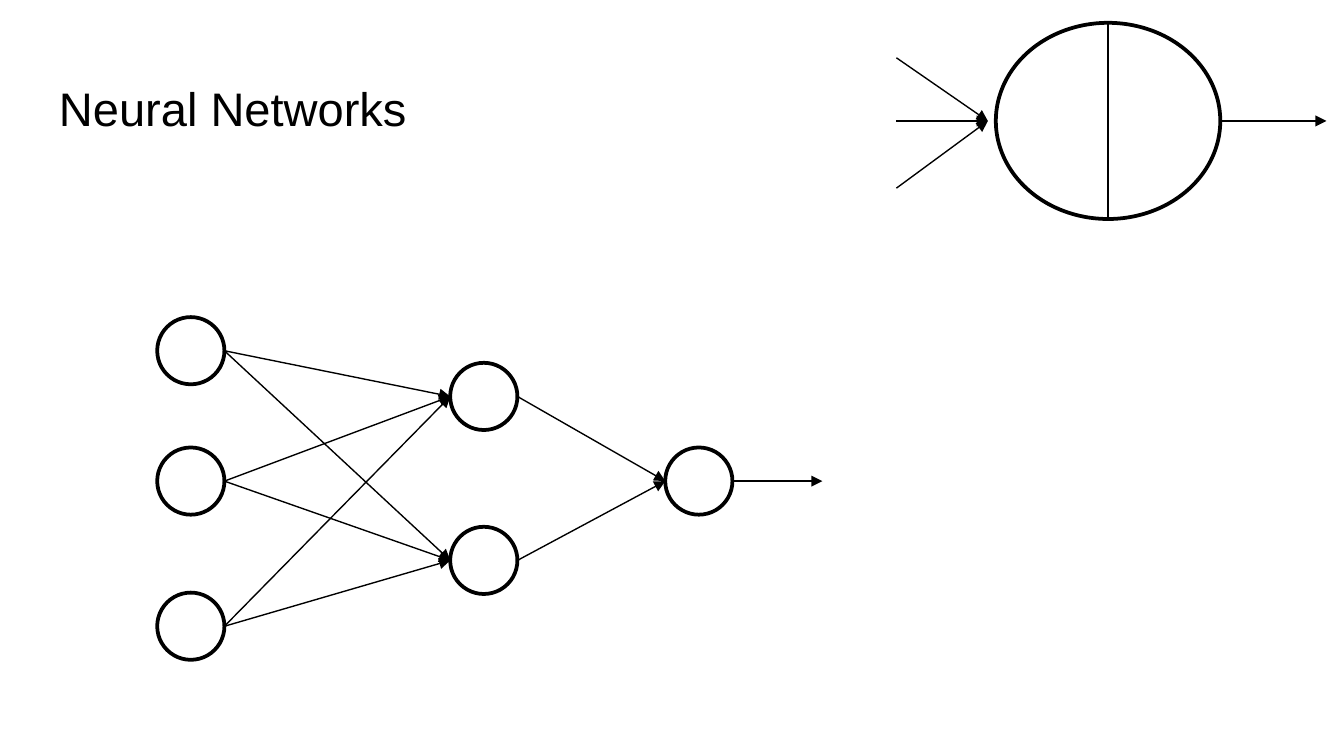
from itertools import pairwise, product

from lxml import etree
from pptx import Presentation
from pptx import util as u
from pptx.dml.color import RGBColor
from pptx.enum import shapes, text
from pptx.oxml.ns import qn

BLACK = RGBColor(0, 0, 0)
WHITE = RGBColor(255, 255, 255)

WIDTH = 10
HEIGHT = WIDTH * 9 / 16
TITLE = "Neural Networks"
TITLE_BOX = (0.34, 0.49, 9.32, 0.63)

# Each layer: left edge of its nodes, then the node centres from top to bottom
NODE = 0.5
LAYERS = [
    (1.17, (2.61, 3.58, 4.66)),
    (3.35, (2.95, 4.17)),
    (4.95, (3.58,)),
]
OUTPUT_END = 6.12

# Enlarged single neuron
NEURON = (7.41, 0.17, 1.67, 1.46)
INPUT_START, INPUT_END = 6.67, 7.35
INPUT_HEIGHTS = (0.9, 1.4, 0.43)
NEURON_OUTPUT_END = 9.87


def add_node(slide, left, top, width, height):
    node = slide.shapes.add_shape(
        shapes.MSO_SHAPE.FLOWCHART_CONNECTOR,
        *map(u.Inches, (left, top, width, height)))
    node.shadow.inherit = False
    node.fill.solid()
    node.fill.fore_color.rgb = WHITE
    node.line.color.rgb = BLACK
    node.line.width = u.Pt(2)


def add_line(slide, start, end, arrow=True):
    line = slide.shapes.add_connector(
        shapes.MSO_CONNECTOR.STRAIGHT, *map(u.Inches, (*start, *end)))
    line.line.color.rgb = BLACK
    line.line.width = u.Pt(0.75)
    if arrow:
        etree.SubElement(line.get_or_add_ln(), qn("a:tailEnd"), type="triangle")
    etree.SubElement(line.element.spPr, qn("a:effectLst"))


def add_title(slide):
    frame = slide.shapes.add_textbox(*map(u.Inches, TITLE_BOX)).text_frame
    frame_format = {
        "word_wrap": True,
        "vertical_anchor": text.MSO_ANCHOR.TOP,
        **dict.fromkeys(
            ("margin_left", "margin_top", "margin_right", "margin_bottom"),
            u.Inches(0.1)),
    }
    for name, value in frame_format.items():
        setattr(frame, name, value)
    heading = frame.paragraphs[0].add_run()
    heading.text = TITLE
    for name, value in {"name": "Arial", "size": u.Pt(25.2)}.items():
        setattr(heading.font, name, value)
    heading.font.color.rgb = BLACK


def add_neuron(slide):
    left, top, width, height = NEURON
    middle_x, middle_y = left + width / 2, top + height / 2
    add_node(slide, *NEURON)
    add_line(slide, (middle_x, top), (middle_x, top + height), arrow=False)
    for y in INPUT_HEIGHTS:
        add_line(slide, (INPUT_START, y), (INPUT_END, middle_y))
    add_line(slide, (left + width, middle_y), (NEURON_OUTPUT_END, middle_y))


def add_network(slide):
    for left, centres in LAYERS:
        for y in centres:
            add_node(slide, left, y - NODE / 2, NODE, NODE)
    output_layer = (OUTPUT_END, LAYERS[-1][1])
    for (left, sources), (next_left, targets) in pairwise([*LAYERS, output_layer]):
        for target, source in product(targets, sources):
            add_line(slide, (left + NODE, source), (next_left, target))


def main():
    deck = Presentation()
    deck.slide_width, deck.slide_height = u.Inches(WIDTH), u.Inches(HEIGHT)
    slide = deck.slides.add_slide(deck.slide_layouts[6])
    add_title(slide)
    add_network(slide)
    add_neuron(slide)
    deck.save("out.pptx")


if __name__ == "__main__":
    main()
